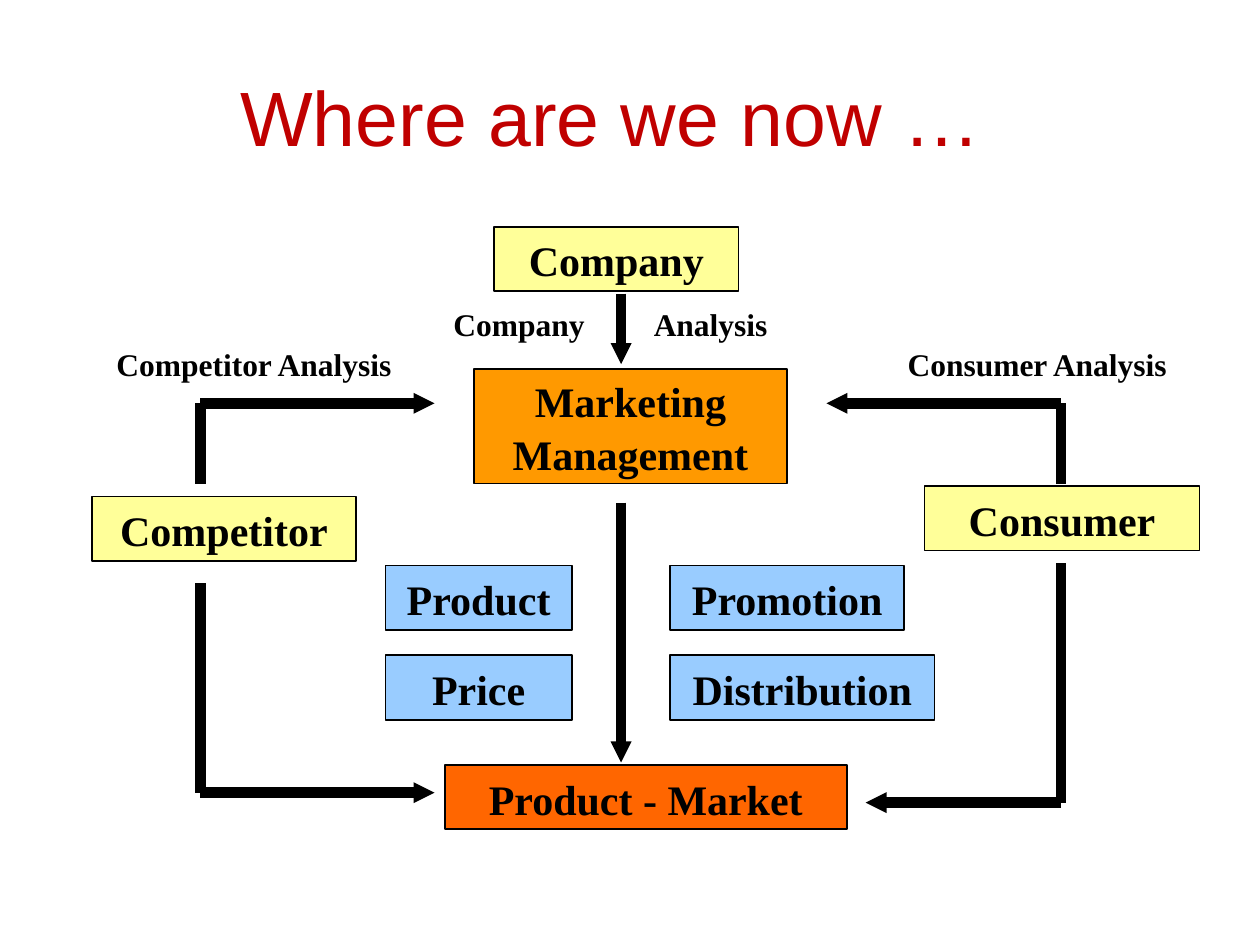
"""Build the marketing management overview slide."""
from lxml import etree
from pptx import Presentation
from pptx.dml.color import RGBColor
from pptx.enum.shapes import MSO_CONNECTOR as CONN, MSO_SHAPE as SHAPE
from pptx.enum.text import MSO_ANCHOR as ANCHOR, PP_ALIGN as ALIGN
from pptx.oxml.ns import qn
from pptx.util import Cm, Pt

COLORS = {"title": "C00000", "ink": "000000", "core": "FF9900",
          "player": "FFFF99", "market": "FF6600", "mix": "99CCFF"}


def rgb(name):
    return RGBColor.from_string(COLORS[name])


def write(sp, text, size=24, font="Times New Roman", color="ink", bold=True,
          align=ALIGN.CENTER, spacing=None, tab=None):
    tf = sp.text_frame
    tf.word_wrap = True
    tf.vertical_anchor = ANCHOR.MIDDLE
    p = tf.paragraphs[0]
    p.alignment = align
    if spacing:
        p.line_spacing = spacing
    if tab:
        tabs = etree.SubElement(p._p.get_or_add_pPr(), qn("a:tabLst"))
        etree.SubElement(tabs, qn("a:tab"), pos=str(Cm(tab)), algn="l")
    r = p.add_run()
    r.text = text
    r.font.size, r.font.name, r.font.bold = Pt(size), font, bold
    r.font.color.rgb = rgb(color)


class Diagram:
    def __init__(self, s, line_width=6, box_height=1.3):
        self.s = s
        self.line_width = line_width
        self.box_height = box_height

    def label(self, text, x, y, w, h=1.02, **fmt):
        sp = self.s.shapes.add_textbox(Cm(x), Cm(y), Cm(w), Cm(h))
        write(sp, text, **{"size": 18, **fmt})

    def box(self, text, x, y, w, fill, h=None):
        sp = self.s.shapes.add_shape(SHAPE.RECTANGLE, Cm(x), Cm(y), Cm(w),
                                     Cm(h or self.box_height))
        sp.shadow.inherit = False
        sp.fill.solid()
        sp.fill.fore_color.rgb = rgb(fill)
        sp.line.color.rgb = rgb("ink")
        sp.line.width = Pt(1)
        write(sp, text, spacing=1.05)

    def line(self, x1, y1, x2, y2, arrow=False):
        sp = self.s.shapes.add_connector(CONN.STRAIGHT, Cm(x1), Cm(y1), Cm(x2), Cm(y2))
        sp.line.color.rgb = rgb("ink")
        sp.line.width = Pt(self.line_width)
        if arrow:
            etree.SubElement(sp.line._get_or_add_ln(), qn("a:tailEnd"),
                             type="triangle", w="sm", len="sm")
        etree.SubElement(sp._element.spPr, qn("a:effectLst"))

    def elbow(self, x, y, to_x, to_y):
        self.line(x, y, x, to_y)
        self.line(x, to_y, to_x, to_y, arrow=True)


def main():
    prs = Presentation()
    prs.slide_width, prs.slide_height = Cm(25.4), Cm(19.05)
    d = Diagram(prs.slides.add_slide(prs.slide_layouts[6]))

    d.label("Where are we now …", 1.7, 1.07, 21.23, 2.54,
            size=44, font="Arial", color="title", bold=False)

    d.box("Marketing Management", 9.55, 7.44, 6.32, "core", h=2.31)
    d.box("Company", 9.96, 4.57, 4.93, "player")
    d.box("Competitor", 1.85, 10.01, 5.33, "player")
    d.box("Consumer", 18.64, 9.8, 5.54, "player")
    d.box("Product - Market", 8.97, 15.42, 8.1, "market")

    mix = [("Product", 3.76, "Promotion", 4.72), ("Price", 3.76, "Distribution", 5.33)]
    for i, (left, left_w, right, right_w) in enumerate(mix):
        y = 11.4 + i * 1.81
        d.box(left, 7.77, y, left_w, "mix")
        d.box(right, 13.51, y, right_w, "mix")

    d.label("Company\tAnalysis", 8.89, 6.02, 7.77, align=ALIGN.LEFT, tab=4.04)
    d.label("Competitor Analysis", 1.27, 6.83, 7.7)
    d.label("Consumer Analysis", 17.25, 6.83, 7.32)

    for top, bottom in [(5.92, 7.34), (10.13, 15.37)]:
        d.line(12.52, top, 12.52, bottom, arrow=True)
    d.elbow(4.04, 9.75, 8.76, 8.13)
    d.elbow(4.04, 11.76, 8.76, 15.98)
    d.elbow(21.39, 9.75, 16.66, 8.13)
    d.elbow(21.39, 11.35, 17.45, 16.18)

    prs.save("out.pptx")


if __name__ == "__main__":
    main()
